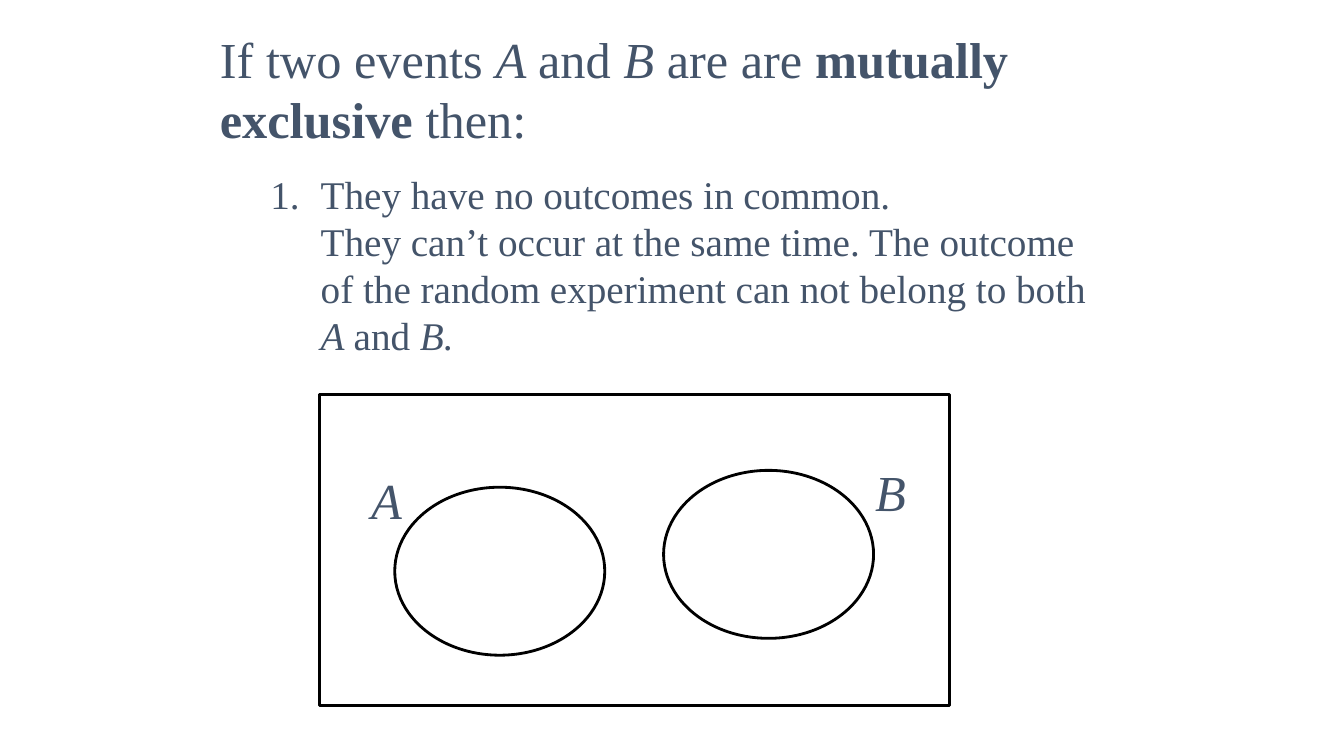
from lxml.etree import SubElement as Sub
from pptx import Presentation
from pptx.dml.color import RGBColor
from pptx.enum.shapes import MSO_SHAPE as Shape
from pptx.enum.text import MSO_ANCHOR as Anchor
from pptx.oxml.ns import qn
from pptx.util import Emu, Pt

INK, EDGE = "44546A", "000000"
FONT = "Times New Roman"
BREAK = ("\n", "")

TITLE = [("If two events ", ""), ("A ", "i"), ("and ", ""), ("B ", "i"),
         ("are are ", ""), ("mutually exclusive", "b"), (" then:", "")]
POINT = [("They have no outcomes in common.", ""), BREAK,
         ("They can’t occur at the same time. The outcome of the random "
          "experiment can not belong to both", ""),
         (" A ", "i"), ("and ", ""), ("B.", "i")]

FRAMES = [
    (Shape.RECTANGLE, (304, 376, 600, 296)),
    (Shape.OVAL, (632, 448, 200, 160)),
    (Shape.OVAL, (376, 464, 200, 160)),
]
TEXTS = [
    (TITLE, (200, 24, 872, 120), 36, False),
    ([("A", "i")], (344, 432, 104, 88), 36, False),
    ([("B", "i")], (824, 424, 104, 88), 36, False),
    (POINT, (248, 192, 816, 120), 28, True),
]


def px(n):
    return Emu(n * 9525)


def color(code):
    return RGBColor.from_string(code)


def draw(slide, kind, box):
    shape = slide.shapes.add_shape(kind, *map(px, box))
    shape.shadow.inherit = False
    shape.fill.background()
    shape.line.color.rgb = color(EDGE)
    shape.line.width = Pt(2)


def number(para):
    props = para._p.get_or_add_pPr()
    for key, value in {"marL": px(48), "indent": px(-48)}.items():
        props.set(key, str(value))
    Sub(props, qn("a:buFont"), typeface=FONT)
    Sub(props, qn("a:buAutoNum"), type="arabicPeriod")


def write(slide, runs, box, size, listed):
    frame = slide.shapes.add_textbox(*map(px, box)).text_frame
    frame.word_wrap = True
    frame.vertical_anchor = Anchor.MIDDLE
    para = frame.paragraphs[0]
    if listed:
        number(para)
    for text, style in runs:
        if text == "\n":
            para.add_line_break()
            continue
        run = para.add_run()
        run.text = text
        form = {"name": FONT, "size": Pt(size),
                "bold": style == "b", "italic": style == "i"}
        for key, value in form.items():
            setattr(run.font, key, value)
        run.font.color.rgb = color(INK)


def main():
    deck = Presentation()
    deck.slide_width, deck.slide_height = px(1280), px(720)
    slide = deck.slides.add_slide(deck.slide_layouts[6])
    for item in FRAMES:
        draw(slide, *item)
    for item in TEXTS:
        write(slide, *item)
    deck.save("out.pptx")


if __name__ == "__main__":
    main()
